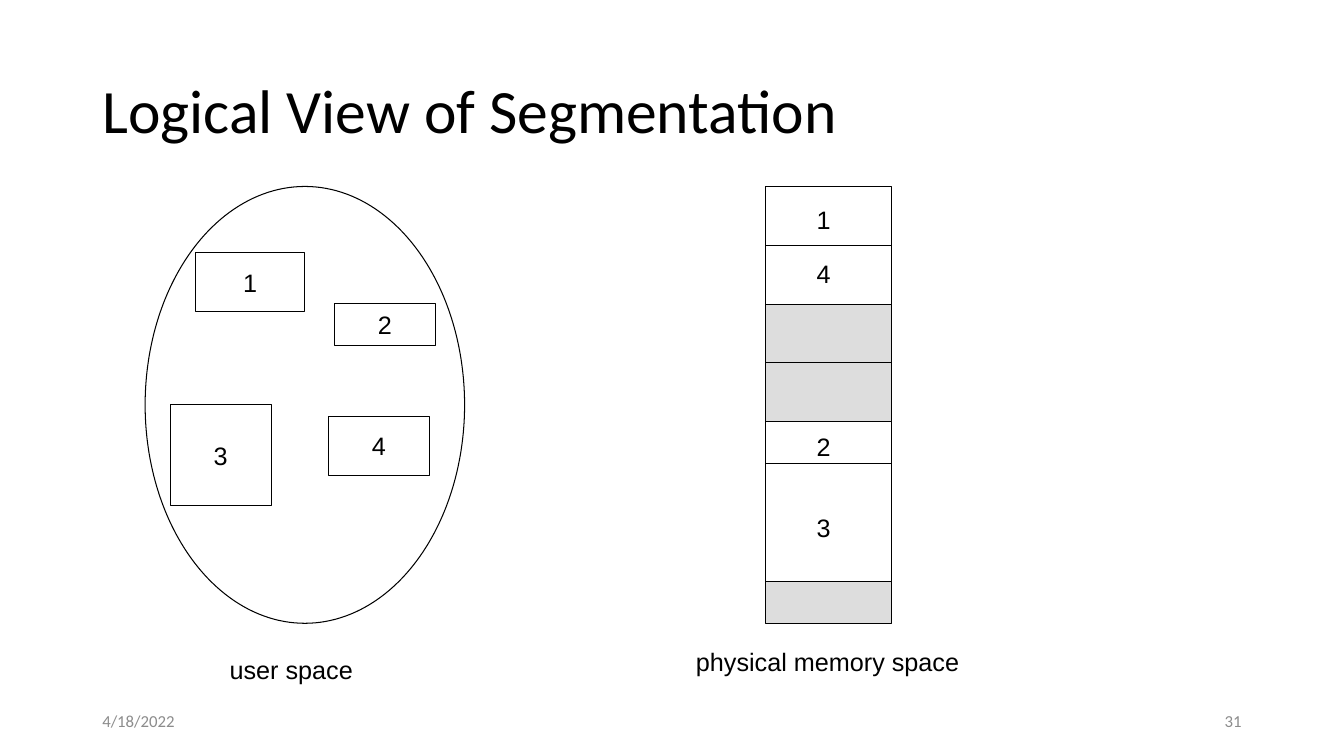
from pptx import Presentation
from pptx.dml.color import RGBColor
from pptx.enum.shapes import MSO_CONNECTOR as Connector, MSO_SHAPE as Shape
from pptx.enum.text import MSO_ANCHOR as Anchor, PP_ALIGN as Align
from pptx.oxml.xmlchemy import OxmlElement
from pptx.util import Pt

COLORS = {"ink": "000000", "paper": "FFFFFF", "free": "DDDDDD", "footer": "8C8C8C"}

TITLE = "Logical View of Segmentation"
DATE, PAGE = "4/18/2022", "31"
USER_SPACE = (103.7, 133.2, 228.2, 312)
SEGMENTS = [
    ("1", (139.7, 180.7, 78, 42)),
    ("2", (239, 216.7, 72, 30)),
    ("3", (121.7, 289.2, 72, 72)),
    ("4", (234.7, 297.4, 72, 42)),
]
CAPTIONS = [
    ("user space ", (156.2, 463.7, 108.7, 28.8)),
    ("physical memory space", (488.9, 457.9, 204.5, 28.8)),
]
MEMORY_LEFT, MEMORY_TOP, MEMORY_WIDTH = 546.5, 133.2, 90
MEMORY_BLOCKS = [
    ("paper", 84, 42),
    ("free", 84, 42),
    ("paper", 114, 30),
    ("free", 30, None),
]
MEMORY_LABELS = [("1", 142.6), ("4", 180.7), ("2", 304.6), ("3", 362.2)]
LABEL_LEFT, LABEL_WIDTH, LABEL_HEIGHT = 576, 24.5, 28.8

deck = Presentation()
deck.slide_width, deck.slide_height = Pt(960), Pt(540)
slide = deck.slides.add_slide(deck.slide_layouts[6])


def color(name):
    return RGBColor.from_string(COLORS[name])


def write(holder, text, size=18, font="Arial", ink="ink", align=Align.CENTER,
          wrap=False, spacing=1.0):
    frame = holder.text_frame
    frame.word_wrap = wrap
    frame.vertical_anchor = Anchor.MIDDLE
    paragraph = frame.paragraphs[0]
    paragraph.alignment = align
    paragraph.line_spacing = spacing
    run = paragraph.add_run()
    run.text = text
    run.font.size = Pt(size)
    run.font.name = font
    run.font.color.rgb = color(ink)


def text_area(place):
    return slide.shapes.add_textbox(*map(Pt, place))


def outlined(kind, place, fill="paper"):
    area = slide.shapes.add_shape(kind, *map(Pt, place))
    area.shadow.inherit = False
    area.fill.solid()
    area.fill.fore_color.rgb = color(fill)
    area.line.color.rgb = color("ink")
    area.line.width = Pt(0.75)
    return area


def divider(left, y, width):
    rule = slide.shapes.add_connector(
        Connector.STRAIGHT, Pt(left), Pt(y), Pt(left + width), Pt(y))
    rule.line.color.rgb = color("ink")
    rule.line.width = Pt(0.75)
    rule._element.spPr.append(OxmlElement("a:effectLst"))


write(text_area((66, 28.8, 828, 104.4)), TITLE, size=44, font="Calibri",
      align=Align.LEFT, wrap=True, spacing=0.9)
for footer, left, align in [(DATE, 66, Align.LEFT), (PAGE, 678, Align.RIGHT)]:
    write(text_area((left, 500.5, 216, 28.8)), footer, size=12, font="Calibri",
          ink="footer", align=align, wrap=True)

outlined(Shape.OVAL, USER_SPACE)
for number, place in SEGMENTS:
    write(outlined(Shape.RECTANGLE, place), number)

block_top = MEMORY_TOP
for fill, height, split in MEMORY_BLOCKS:
    outlined(Shape.RECTANGLE, (MEMORY_LEFT, block_top, MEMORY_WIDTH, height), fill)
    if split:
        divider(MEMORY_LEFT, block_top + split, MEMORY_WIDTH)
    block_top += height

for number, top in MEMORY_LABELS:
    write(text_area((LABEL_LEFT, top, LABEL_WIDTH, LABEL_HEIGHT)), number)
for caption, place in CAPTIONS:
    write(text_area(place), caption)

deck.save("out.pptx")
